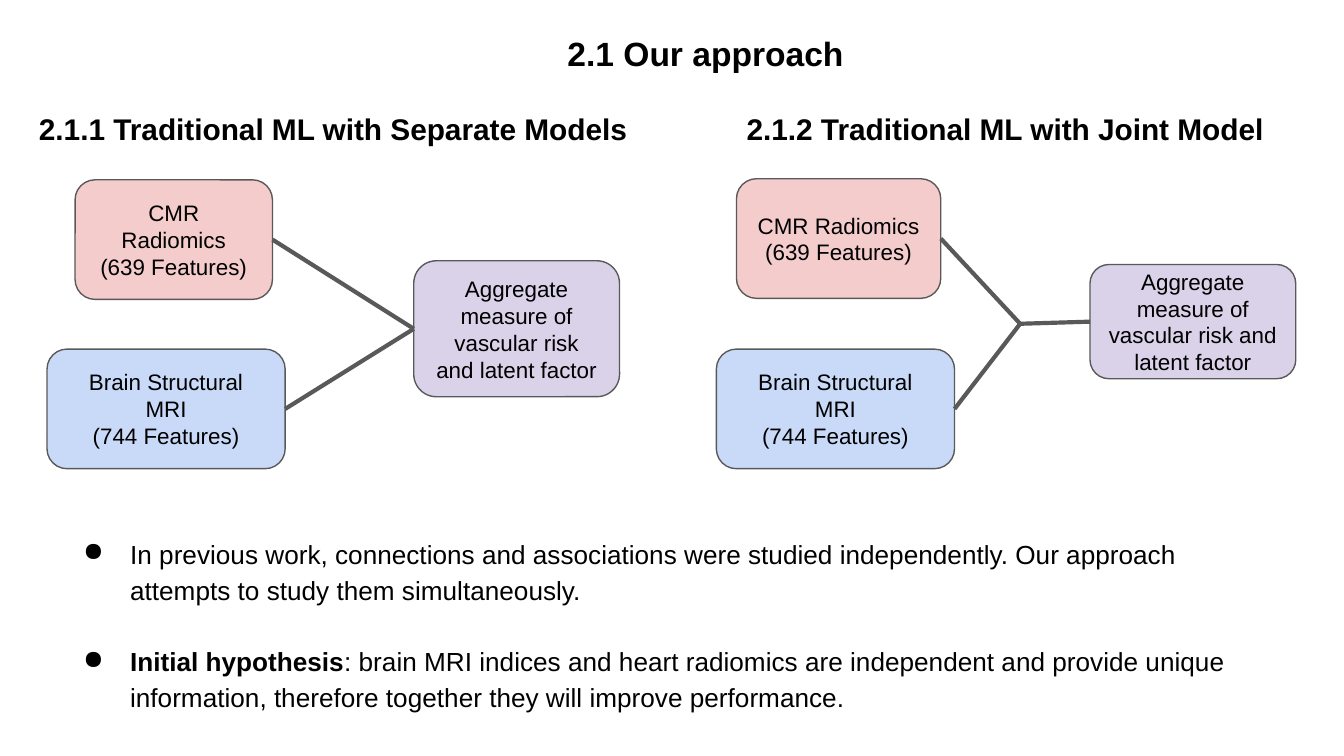
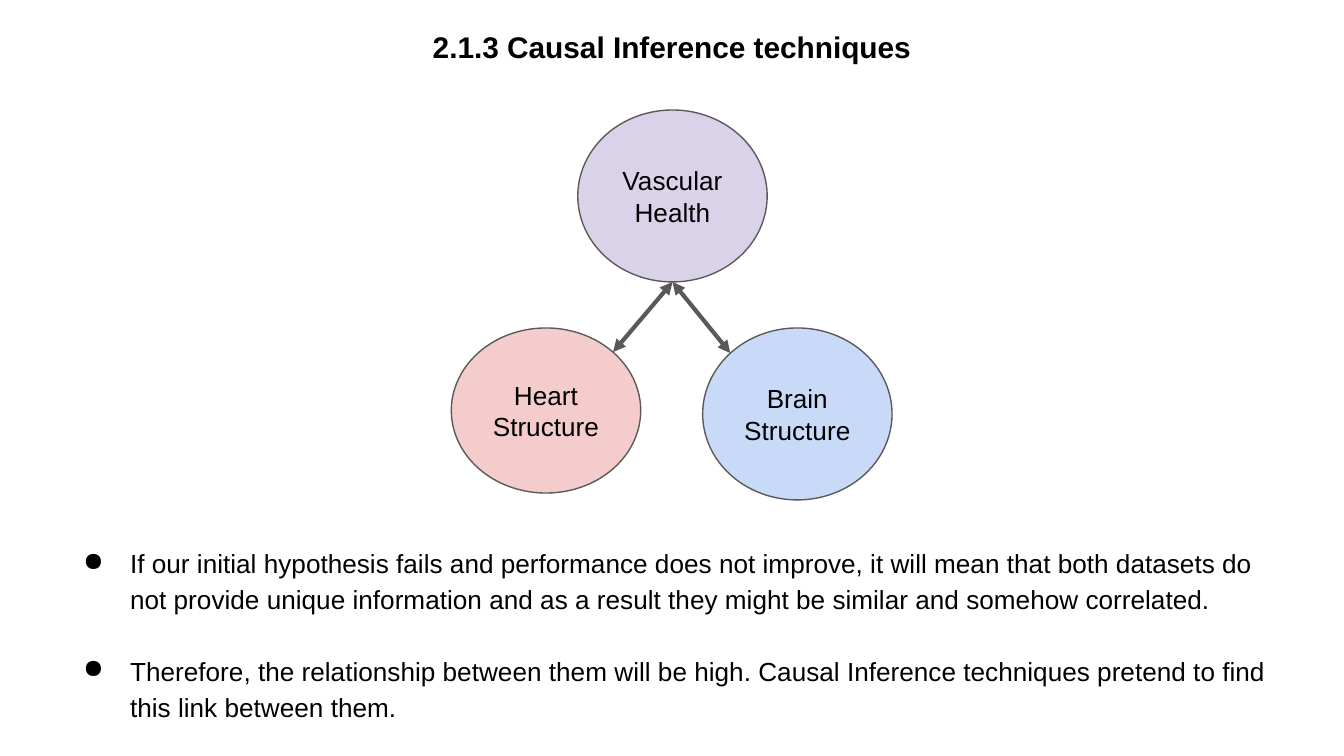
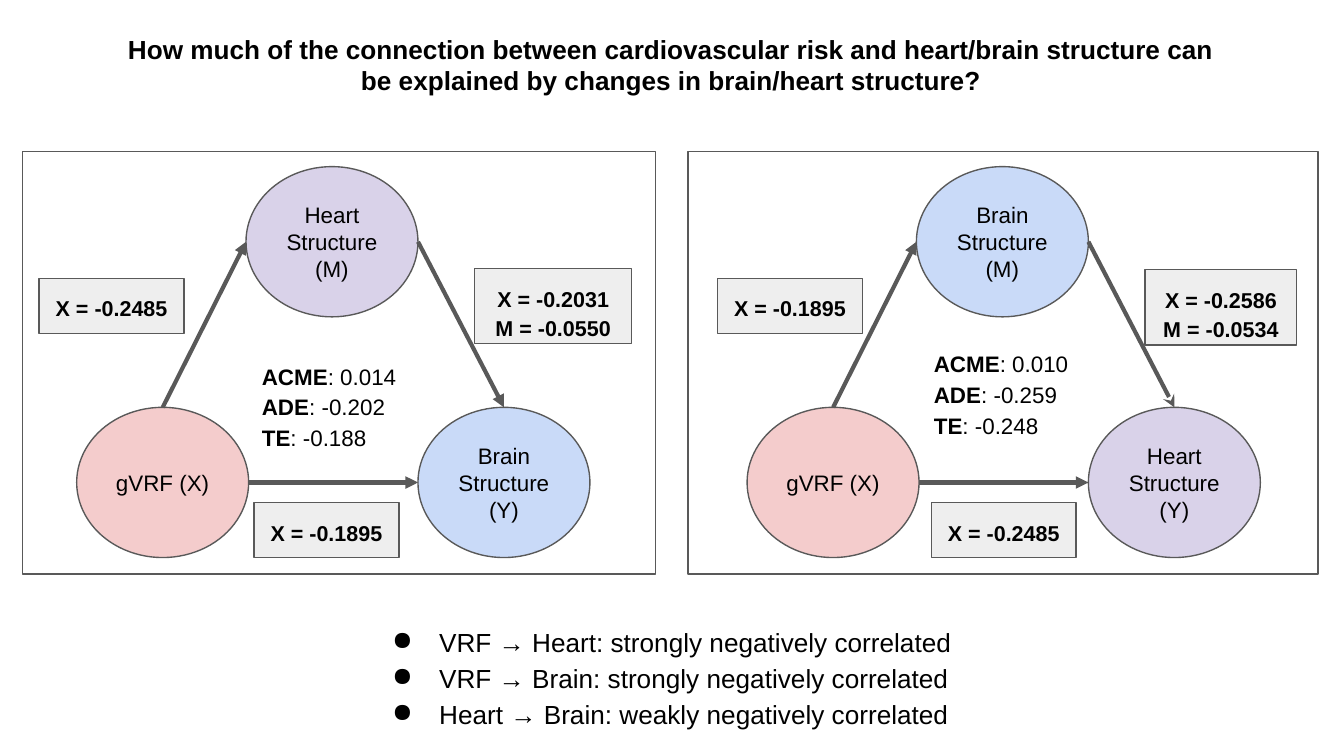
from dataclasses import dataclass

from lxml.etree import SubElement
from pptx import Presentation
from pptx.dml.color import RGBColor
from pptx.enum.shapes import MSO_CONNECTOR as CONN, MSO_SHAPE as SHAPE
from pptx.enum.text import MSO_ANCHOR as ANCHOR, PP_ALIGN as ALIGN
from pptx.oxml.ns import qn
from pptx.util import Cm, Pt


@dataclass(frozen=True)
class Theme:
    font: str = "Arial"
    ink: str = "000000"
    edge: str = "595959"
    pink: str = "F4CCCC"
    blue: str = "C9DAF8"
    lilac: str = "D9D2E9"
    grey: str = "EEEEEE"
    title: float = 18
    heading: float = 16
    body: float = 14
    node: float = 12
    label: float = 11.5
    thin: float = 0.75
    thick: float = 2.25
    spacing: float = 1.15
    bullet_gap: float = 19


T = Theme()
CMR = "CMR Radiomics\n(639 Features)"
MRI = "Brain Structural MRI\n(744 Features)"
RISK = "Aggregate measure of vascular risk and latent factor"

# Boxes are (left, top, width, height) in centimetres.
APPROACH = {
    "title": "2.1 Our approach",
    "models": [
        {"heading": "2.1.1 Traditional ML with Separate Models",
         "heading_box": (0, 1.85, 12.6, 1.24),
         "heart": (1.42, 3.4, 3.73, 2.26), "brain": (0.89, 6.6, 4.5, 2.26),
         "risk": (7.82, 4.93, 3.89, 2.57), "joint": None},
        {"heading": "2.1.2 Traditional ML with Joint Model",
         "heading_box": (12.6, 1.85, 12.8, 1.24),
         "heart": (13.92, 3.38, 3.86, 2.26), "brain": (13.54, 6.6, 4.5, 2.26),
         "risk": (20.6, 5, 3.89, 2.16), "joint": (Cm(19.28), Cm(6.12))},
    ],
    "bullets": "In previous work, connections and associations were studied independently. "
               "Our approach attempts to study them simultaneously.\n"
               "**Initial hypothesis**: brain MRI indices and heart radiomics are independent "
               "and provide unique information, therefore together they will improve performance.",
}

CAUSAL = {
    "title": "2.1.3 Causal Inference techniques",
    "vascular": ("Vascular Health", (10.92, 2.08, 3.58, 3.25), T.lilac),
    "heart": ("Heart Structure", (8.53, 6.2, 3.58, 3.12), T.pink),
    "brain": ("Brain\nStructure", (13.28, 6.2, 3.58, 3.25), T.blue),
    "bullets": "If our initial hypothesis fails and performance does not improve, it will mean "
               "that both datasets do not provide unique information and as a result they might "
               "be similar and somehow correlated.\n"
               "Therefore, the relationship between them will be high. Causal Inference "
               "techniques pretend to find this link between them.",
}

MEDIATION = {
    "title": "How much of the connection between cardiovascular risk and heart/brain structure "
             "can be explained by changes in brain/heart structure?",
    "panels": [
        {"frame": (0.43, 2.87, 11.96, 7.98), "left": 1.45,
         "mediator": ("Heart Structure (M)", T.lilac),
         "outcome": ("Brain\nStructure (Y)", T.blue), "last_arrow": "triangle",
         "stats": "**ACME**: 0.014\n**ADE**: -0.202\n**TE**: -0.188",
         "stats_box": (4.7, 6.53, 3.25, 2.06),
         "labels": [("X = -0.1895", (4.8, 9.5, 2.74, 1.04)),
                    ("X = -0.2485", (0.74, 5.26, 2.74, 1.04)),
                    ("X = -0.2031\nM = -0.0550", (8.97, 5.08, 2.97, 1.42))]},
        {"frame": (13, 2.87, 11.91, 7.98), "left": 14.12,
         "mediator": ("Brain\nStructure (M)", T.blue),
         "outcome": ("Heart Structure (Y)", T.lilac), "last_arrow": "stealth",
         "stats": "**ACME**: 0.010\n**ADE**: -0.259\n**TE**: -0.248",
         "stats_box": (17.4, 6.3, 3.25, 2.29),
         "labels": [("X = -0.2485", (17.6, 9.5, 2.74, 1.04)),
                    ("X = -0.1895", (13.56, 5.26, 2.74, 1.04)),
                    ("X = -0.2586\nM = -0.0534", (21.64, 5.1, 2.87, 1.42))]},
    ],
    "bullets": "VRF → Heart: strongly negatively correlated\n"
               "VRF → Brain: strongly negatively correlated\n"
               "Heart → Brain: weakly negatively correlated",
}

# Points on a shape, as fractions of its width and height.
TOP, BOTTOM, LEFT, RIGHT = (0.5, 0), (0.5, 1), (0, 0.5), (1, 0.5)
OVAL_TOP_LEFT, OVAL_TOP_RIGHT = (0.146, 0.146), (0.854, 0.146)


def rgb(color):
    return RGBColor.from_string(color)


def write(sp, text, size=T.body, bold=False, align=ALIGN.LEFT, anchor=ANCHOR.TOP,
          spacing=None, indent=0, bullet=False, gap=0):
    """Fill a shape with text: one paragraph a line, **marked** parts in bold."""
    tf = sp.text_frame
    tf.word_wrap = True
    tf.vertical_anchor = anchor
    tf.margin_left = tf.margin_right = tf.margin_top = tf.margin_bottom = Cm(0.25)
    for i, line in enumerate(text.split("\n")):
        p = tf.add_paragraph() if i else tf.paragraphs[0]
        p.alignment = align
        p.line_spacing = spacing
        if i and gap:
            p.space_before = Pt(gap)
        pPr = p._p.get_or_add_pPr()
        if indent:
            pPr.set("marL", str(Cm(indent)))
            pPr.set("indent", str(Cm(-0.89) if bullet else 0))
        if bullet:
            color = SubElement(pPr, qn("a:buClr"))
            SubElement(color, qn("a:srgbClr"), val=T.ink)
            SubElement(pPr, qn("a:buChar"), char="●")
        for j, part in enumerate(line.split("**")):
            if part:
                r = p.add_run()
                r.text = part
                r.font.name = T.font
                r.font.size = Pt(size)
                r.font.bold = bold or j % 2 == 1
                r.font.color.rgb = rgb(T.ink)


def add_text(slide, text, box, **fmt):
    write(slide.shapes.add_textbox(*map(Cm, box)), text, **fmt)


def add_heading(slide, text, box, size=T.heading, **fmt):
    add_text(slide, text, box, size=size, bold=True, align=ALIGN.CENTER, **fmt)


def add_bullets(slide, text, box, gap=T.bullet_gap):
    add_text(slide, text, box, spacing=T.spacing, indent=1.27, bullet=True, gap=gap)


def add_box(slide, kind, box, fill=None):
    sp = slide.shapes.add_shape(kind, *map(Cm, box))
    sp.shadow.inherit = False
    if fill:
        sp.fill.solid()
        sp.fill.fore_color.rgb = rgb(fill)
    else:
        sp.fill.background()
    sp.line.color.rgb = rgb(T.edge)
    sp.line.width = Pt(T.thin)
    return sp


def add_node(slide, kind, text, box, fill, size=T.node):
    sp = add_box(slide, kind, box, fill)
    write(sp, text, size=size, align=ALIGN.CENTER, anchor=ANCHOR.MIDDLE)
    return sp


def point(sp, side):
    return sp.left + int(sp.width * side[0]), sp.top + int(sp.height * side[1])


def add_line(slide, start, end, head=None, tail=None):
    ln = slide.shapes.add_connector(CONN.STRAIGHT, *start, *end)
    ln.line.color.rgb = rgb(T.edge)
    ln.line.width = Pt(T.thick)
    for tag, arrow in (("a:headEnd", head), ("a:tailEnd", tail)):
        if arrow:
            SubElement(ln.line._get_or_add_ln(), qn(tag), type=arrow)
    SubElement(ln._element.spPr, qn("a:effectLst"))


def build_approach(slide, data):
    for model in data["models"]:
        add_heading(slide, model["heading"], model["heading_box"])
        heart, brain, risk = (
            add_node(slide, SHAPE.ROUNDED_RECTANGLE, text, model[key], fill)
            for key, text, fill in (("heart", CMR, T.pink), ("brain", MRI, T.blue),
                                    ("risk", RISK, T.lilac)))
        target = point(risk, LEFT)
        joint = model["joint"] or target
        for source in (heart, brain):
            add_line(slide, point(source, RIGHT), joint)
        if joint != target:
            add_line(slide, joint, target)
    add_bullets(slide, data["bullets"], (0.94, 9.83, 23.55, 3.94))
    add_heading(slide, data["title"], (0, 0.38, 25.4, 1.24), size=T.title, indent=1.27)


def build_causal(slide, data):
    add_heading(slide, data["title"], (0, 0.3, 25.4, 1.24))
    vascular, heart, brain = (add_node(slide, SHAPE.OVAL, *data[key], size=T.body)
                              for key in ("vascular", "heart", "brain"))
    for organ, side in ((heart, OVAL_TOP_RIGHT), (brain, OVAL_TOP_LEFT)):
        add_line(slide, point(vascular, BOTTOM), point(organ, side),
                 head="triangle", tail="triangle")
    add_bullets(slide, data["bullets"], (0.94, 10.01, 23.55, 3.73))


def build_panel(slide, panel):
    """Draw one mediation triangle: exposure, mediator and outcome."""
    left, oval = panel["left"], (3.25, 2.84)
    mediator_text, mediator_fill = panel["mediator"]
    outcome_text, outcome_fill = panel["outcome"]
    mediator = add_node(slide, SHAPE.OVAL, mediator_text, (left + 3.2, 3.15, *oval), mediator_fill)
    exposure = add_node(slide, SHAPE.OVAL, "gVRF (X)", (left, 7.7, *oval), T.pink)
    outcome = add_node(slide, SHAPE.OVAL, outcome_text, (left + 6.45, 7.7, *oval), outcome_fill)
    for a, a_side, b, b_side, arrow in (
            (mediator, RIGHT, outcome, TOP, panel["last_arrow"]),
            (exposure, TOP, mediator, LEFT, "triangle"),
            (exposure, RIGHT, outcome, LEFT, "triangle")):
        add_line(slide, point(a, a_side), point(b, b_side), tail=arrow)
    add_text(slide, panel["stats"], panel["stats_box"], size=T.node, spacing=T.spacing)
    for text, box in panel["labels"]:
        write(add_box(slide, SHAPE.RECTANGLE, box, T.grey), text, size=T.label, bold=True,
              align=ALIGN.CENTER, spacing=T.spacing)
    add_box(slide, SHAPE.RECTANGLE, panel["frame"])


def build_mediation(slide, data):
    add_heading(slide, data["title"], (1.93, 0.38, 21.51, 1.83), size=T.body)
    for panel in data["panels"]:
        build_panel(slide, panel)
    add_bullets(slide, data["bullets"], (6.78, 11.51, 11.81, 2.51), gap=0)


def main():
    prs = Presentation()
    prs.slide_width, prs.slide_height = Cm(25.4), Cm(14.29)
    for build, data in ((build_approach, APPROACH), (build_causal, CAUSAL),
                        (build_mediation, MEDIATION)):
        build(prs.slides.add_slide(prs.slide_layouts[6]), data)
    prs.save("out.pptx")


if __name__ == "__main__":
    main()
